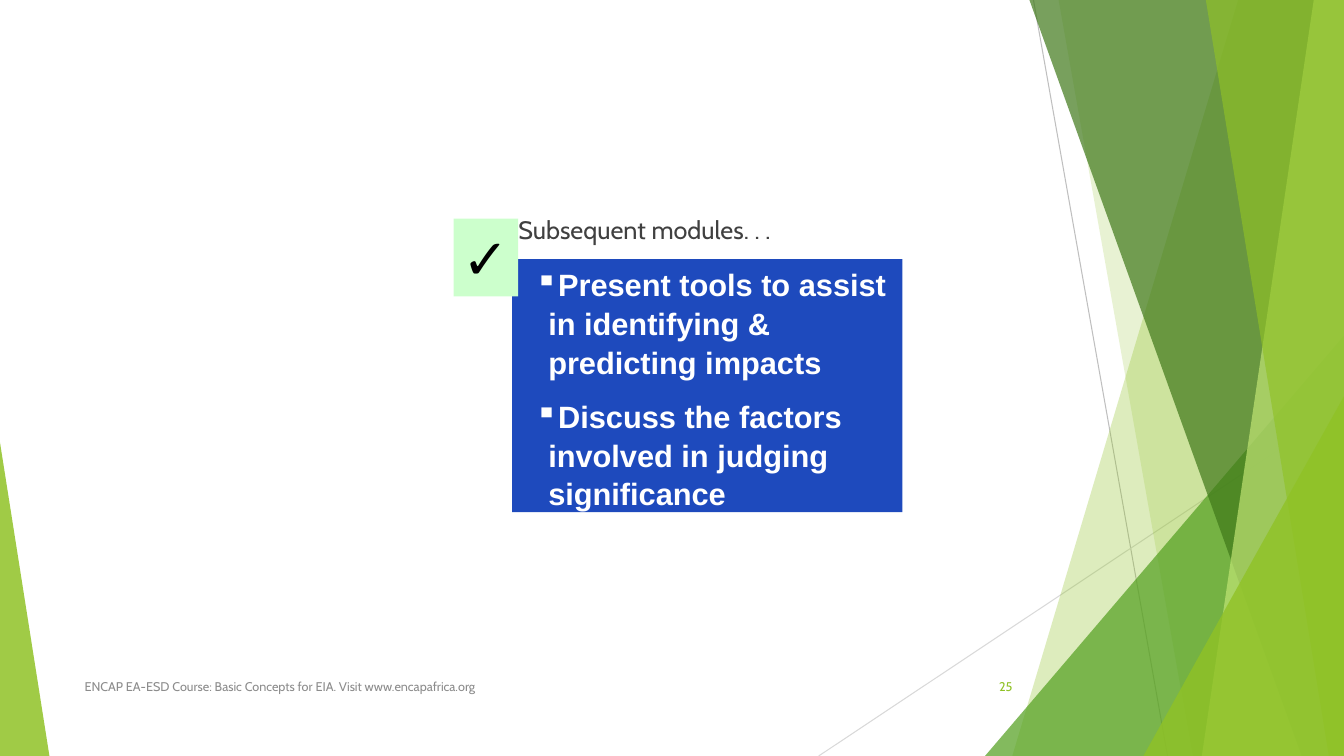
from lxml.etree import SubElement
from pptx import Presentation
from pptx.dml.color import RGBColor
from pptx.enum.shapes import MSO_CONNECTOR, MSO_SHAPE
from pptx.enum.text import MSO_ANCHOR, MSO_AUTO_SIZE, PP_ALIGN
from pptx.oxml.ns import qn
from pptx.util import Inches, Pt

WIDTH, HEIGHT = 13.33, 7.5
COLORS = {
    "lime": "90C226", "pale": "C0E474", "green": "54A021", "forest": "3F7819",
    "blue": "1E4ABD", "mint": "CCFFCC", "white": "FFFFFF", "black": "000000",
    "heading": "404040", "footer": "8C8C8C", "gray": "BFBFBF", "light gray": "D9D9D9",
}
HEADING = "Subsequent modules. . ."
MODULE_GOALS = [
    "Present tools to assist in identifying & predicting impacts",
    "Discuss the factors involved in judging significance",
]
CHECK = "✓"
FOOTER = "ENCAP EA-ESD Course: Basic Concepts for EIA. Visit www.encapafrica.org"
PAGE = "25"

RAYS = [((10.25, 0), (11.58, HEIGHT), "gray"),
        ((WIDTH, 4.03), (8.12, HEIGHT), "light gray")]
# Bands reach the right edge: top left x, bottom left x, colour, opacity.
# Triangles stand on the bottom edge: left, top, width, apex, colour, opacity.
FACETS = [
    ("band", 12.28, 10.04, "lime", 30),
    ("band", 10.5, 11.83, "lime", 20),
    ("triangle", 9.77, 3.33, 3.56, 1, "green", 72),
    ("band", 10.21, 12.91, "forest", 70),
    ("band", 13.03, 11.92, "pale", 70),
    ("band", 11.96, 13.18, "lime", 65),
    ("triangle", 11.34, 3.93, 1.99, 1, "lime", 80),
    ("triangle", 0, 4.39, 0.49, 0, "lime", 85),
]


def rgb(name):
    return RGBColor.from_string(COLORS[name])


def paint(shape, color, opacity=100):
    shape.shadow.inherit = False
    shape.line.fill.background()
    shape.fill.solid()
    shape.fill.fore_color.rgb = rgb(color)
    if opacity < 100:
        srgb = shape.fill._xPr.find(".//" + qn("a:srgbClr"))
        SubElement(srgb, qn("a:alpha"), val=str(opacity * 1000))


def add_ray(start, end, color):
    ray = slide.shapes.add_connector(
        MSO_CONNECTOR.STRAIGHT, *map(Inches, start + end))
    ray.line.color.rgb = rgb(color)
    ray.line.width = Pt(0.75)
    SubElement(ray._element.spPr, qn("a:effectLst"))


def add_band(top_x, bottom_x, color, opacity):
    outline = slide.shapes.build_freeform(Inches(top_x), 0)
    corners = [(WIDTH, 0), (WIDTH, HEIGHT), (bottom_x, HEIGHT)]
    outline.add_line_segments([(Inches(x), Inches(y)) for x, y in corners])
    paint(outline.convert_to_shape(), color, opacity)


def add_triangle(left, top, width, apex, color, opacity):
    triangle = slide.shapes.add_shape(
        MSO_SHAPE.ISOSCELES_TRIANGLE,
        *map(Inches, (left, top, width, HEIGHT - top)))
    triangle.adjustments[0] = apex
    paint(triangle, color, opacity)


def write(shape, lines, font, size, color, bold=False, align=PP_ALIGN.LEFT,
          bullet=None, **frame_format):
    frame = shape.text_frame
    frame_format = {"word_wrap": True, "auto_size": MSO_AUTO_SIZE.NONE,
                    "vertical_anchor": MSO_ANCHOR.TOP, **frame_format}
    for name, value in frame_format.items():
        setattr(frame, name, value)
    frame.text = "\n".join(lines)
    for index, paragraph in enumerate(frame.paragraphs):
        paragraph.alignment = align
        if bullet:
            props = paragraph._p.get_or_add_pPr()
            props.set("marL", str(Inches(0.26)))
            props.set("indent", str(Inches(-0.13)))
            SubElement(props, qn("a:buChar"), char=bullet)
            paragraph.line_spacing = 1.05
            paragraph.space_before = Pt(11 if index else 0)
        font_format = {"name": font, "size": Pt(size), "bold": bold}
        for name, value in font_format.items():
            setattr(paragraph.font, name, value)
        paragraph.font.color.rgb = rgb(color)


def add_panel(left, top, width, height, color):
    panel = slide.shapes.add_shape(
        MSO_SHAPE.RECTANGLE, *map(Inches, (left, top, width, height)))
    paint(panel, color)
    return panel


def add_footer(left, width, text, color, align):
    box = slide.shapes.add_textbox(*map(Inches, (left, 6.61, width, 0.4)))
    write(box, [text], "Cabin", 9, color, align=align,
          vertical_anchor=MSO_ANCHOR.MIDDLE)


deck = Presentation()
deck.slide_width, deck.slide_height = Inches(WIDTH), Inches(HEIGHT)
slide = deck.slides.add_slide(deck.slide_layouts[5])

for ray in RAYS:
    add_ray(*ray)
add_facet = {"band": add_band, "triangle": add_triangle}
for kind, *facet in FACETS:
    add_facet[kind](*facet)

heading = slide.shapes.title
heading_place = {"left": 4.67, "top": 2.08, "width": 5.33, "height": 0.67}
for side, length in heading_place.items():
    setattr(heading, side, Inches(length))
write(heading, [HEADING], "Cabin", 18, "heading", margin_left=Inches(0.47))

add_footer(0.74, 6.89, FOOTER, "footer", PP_ALIGN.LEFT)
add_footer(9.39, 0.75, PAGE, "lime", PP_ALIGN.RIGHT)

goals = add_panel(5.08, 2.57, 3.87, 2.51, "blue")
write(goals, MODULE_GOALS, "Arial", 22, "white", bold=True, bullet="▪")
check = add_panel(4.5, 2.17, 0.64, 0.77, "mint")
write(check, [CHECK], "DejaVu Sans", 40, "black", bold=True,
      align=PP_ALIGN.CENTER, word_wrap=False)

deck.save("out.pptx")
